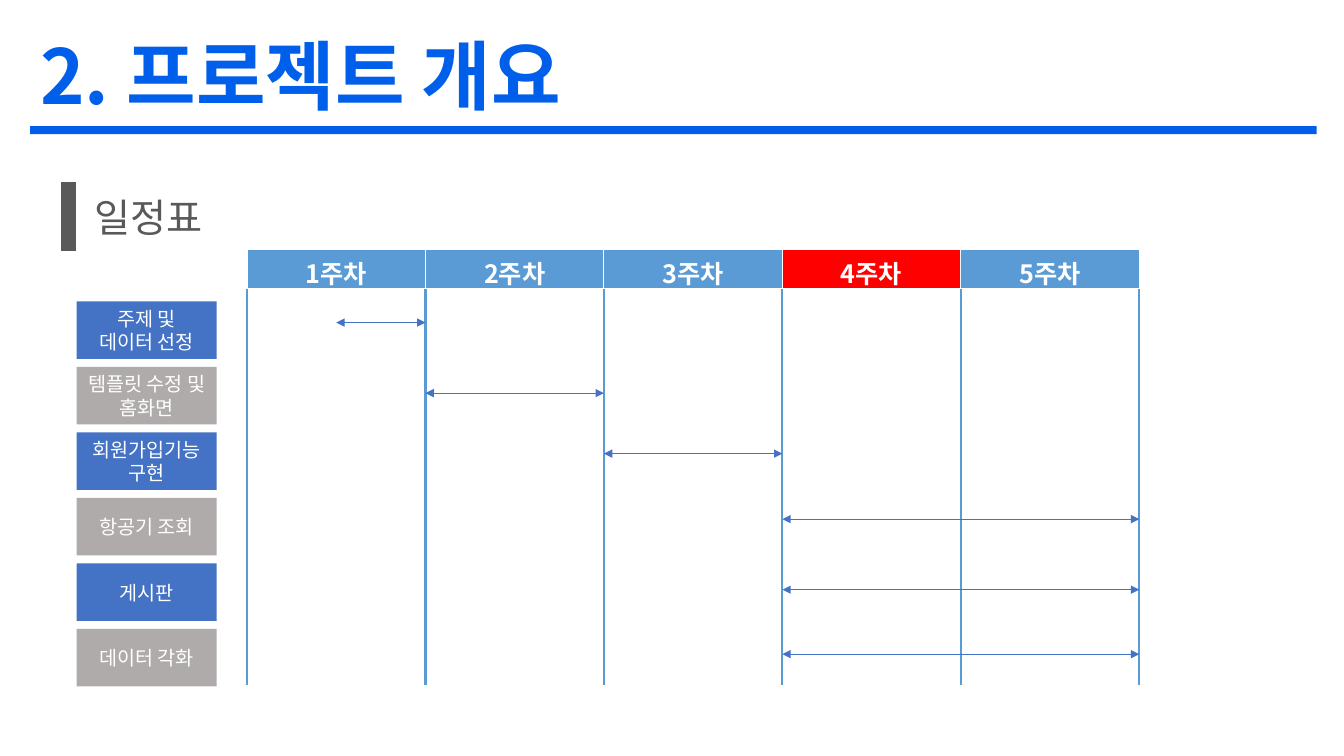
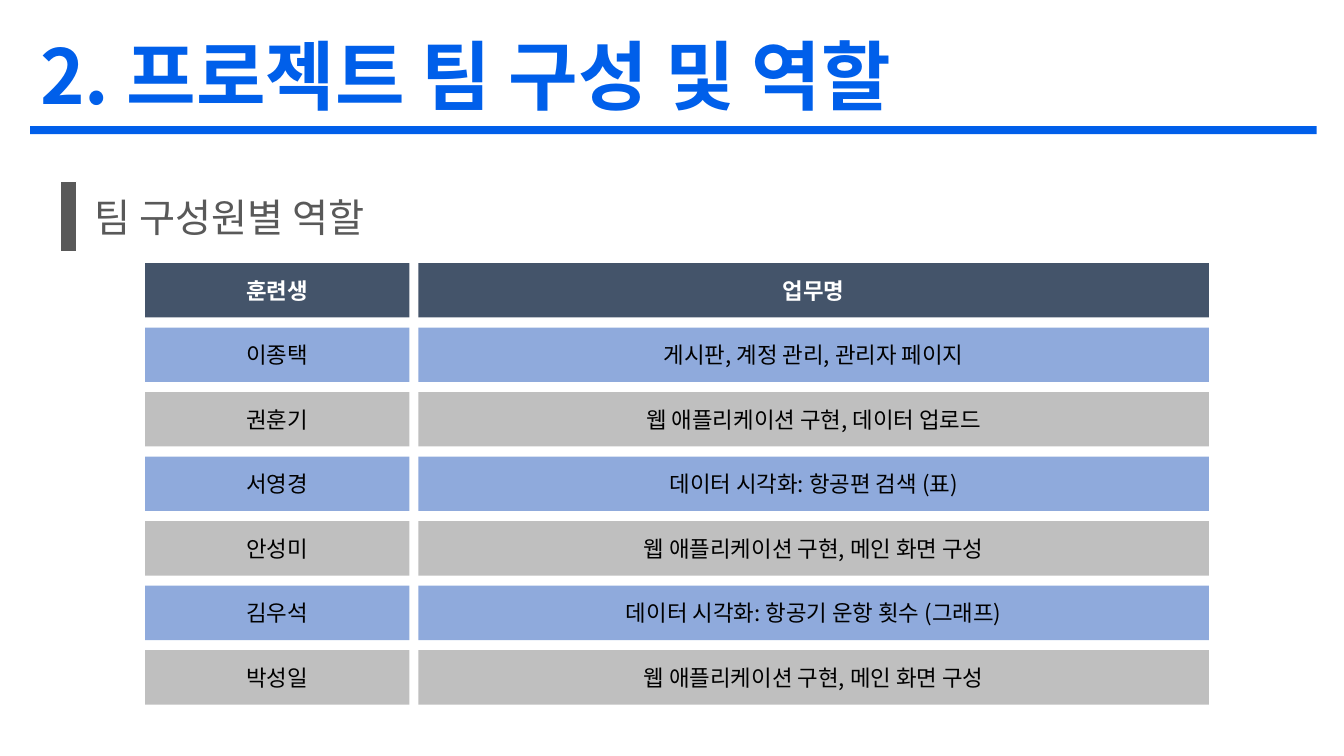
from lxml.etree import SubElement
from pptx import Presentation
from pptx.dml.color import RGBColor
from pptx.enum.shapes import MSO_CONNECTOR, MSO_SHAPE
from pptx.enum.text import MSO_ANCHOR, PP_ALIGN
from pptx.oxml.ns import qn
from pptx.util import Inches, Pt

FONT = "Noto Sans CJK KR"
TITLE_BLUE = "005FEA"
DARK_GRAY = "595959"
WHITE = "FFFFFF"
BLACK = "000000"
WEEK_BLUE = "5B9BD5"
CURRENT_WEEK_RED = "FF0000"
TASK_BLUE = "4472C4"
TASK_GRAY = "AFABAB"
HEADER_NAVY = "44546A"
MEMBER_COLORS = ("8FAADC", "BFBFBF")

WEEKS_LEFT, WEEK_WIDTH, WEEK_COUNT, CURRENT_WEEK = 2.45, 1.77, 5, 4
TASKS = [
    (["주제 및", "데이터 선정"], 0.5, 1, 3.2),
    (["템플릿 수정 및 홈화면"], 1, 2, 3.9),
    (["회원가입기능", "구현"], 2, 3, 4.5),
    (["항공기 조회"], 3, 5, 5.15),
    (["게시판"], 3, 5, 5.85),
    (["데이터 각화"], 3, 5, 6.49),
]
MEMBERS = [
    ("이종택", "게시판, 계정 관리, 관리자 페이지"),
    ("권훈기", "웹 애플리케이션 구현, 데이터 업로드"),
    ("서영경", "데이터 시각화: 항공편 검색 (표)"),
    ("안성미", "웹 애플리케이션 구현, 메인 화면 구성"),
    ("김우석", "데이터 시각화: 항공기 운항 횟수 (그래프)"),
    ("박성일", "웹 애플리케이션 구현, 메인 화면 구성"),
]


def rgb(color):
    return RGBColor.from_string(color)


def write(frame, lines, size, color, bold=False, align=PP_ALIGN.CENTER):
    frame.word_wrap = True
    for index, line in enumerate(lines):
        paragraph = frame.add_paragraph() if index else frame.paragraphs[0]
        paragraph.text = line
        paragraph.alignment = align
        font = paragraph.font
        font.name, font.size, font.bold = FONT, Pt(size), bold
        font.color.rgb = rgb(color)
        defaults = paragraph._p.pPr.find(qn("a:defRPr"))
        SubElement(defaults, qn("a:ea"), typeface=FONT)


def add_label(slide, box, text, size, color, bold=False):
    label = slide.shapes.add_textbox(*map(Inches, box))
    write(label.text_frame, [text], size, color, bold, PP_ALIGN.LEFT)


def add_block(slide, box, fill, lines=(), size=14, color=WHITE, bold=False):
    block = slide.shapes.add_shape(MSO_SHAPE.RECTANGLE, *map(Inches, box))
    block.shadow.inherit = False
    block.fill.solid()
    block.fill.fore_color.rgb = rgb(fill)
    block.line.fill.background()
    block.text_frame.vertical_anchor = MSO_ANCHOR.MIDDLE
    write(block.text_frame, lines, size, color, bold)
    return block


def add_line(slide, start, end, color, width, arrows=False):
    line = slide.shapes.add_connector(
        MSO_CONNECTOR.STRAIGHT, *map(Inches, (*start, *end)))
    line.line.color.rgb = rgb(color)
    line.line.width = Pt(width)
    properties = line._element.spPr
    if arrows:
        outline = properties.find(qn("a:ln"))
        for tip in ("a:headEnd", "a:tailEnd"):
            SubElement(outline, qn(tip), type="triangle")
    SubElement(properties, qn("a:effectLst"))


def add_cell_borders(cell):
    properties = cell._tc.get_or_add_tcPr()
    for side, width in (("L", 1), ("R", 1), ("T", 1), ("B", 3)):
        border = SubElement(properties, qn(f"a:ln{side}"), w=str(Pt(width)))
        fill = SubElement(border, qn("a:solidFill"))
        SubElement(fill, qn("a:srgbClr"), val=WHITE)


def add_section_slide(deck, title, subtitle):
    slide = deck.slides.add_slide(deck.slide_layouts[6])
    add_label(slide, (0.3, 0.24, 10.18, 1.01), title, 54, TITLE_BLUE, True)
    add_block(slide, (0.3, 1.25, 12.76, 0.08), TITLE_BLUE)
    marker = add_block(slide, (0.6, 1.8, 0.16, 0.7), DARK_GRAY)
    marker.line.color.rgb = rgb(WHITE)
    marker.line.width = Pt(1)
    add_label(slide, (0.84, 1.87, 5.96, 0.57), subtitle, 28, DARK_GRAY)
    return slide


def add_week_header(slide):
    box = (WEEKS_LEFT, 2.47, WEEK_WIDTH * WEEK_COUNT, 0.41)
    weeks = slide.shapes.add_table(1, WEEK_COUNT, *map(Inches, box)).table
    weeks.first_row = weeks.horz_banding = False
    for number, cell in enumerate(weeks.iter_cells(), 1):
        add_cell_borders(cell)
        cell.fill.solid()
        fill = CURRENT_WEEK_RED if number == CURRENT_WEEK else WEEK_BLUE
        cell.fill.fore_color.rgb = rgb(fill)
        write(cell.text_frame, [f"{number}주차"], 18, WHITE, True)


def week_x(week):
    return WEEKS_LEFT + week * WEEK_WIDTH


def add_schedule(slide):
    add_week_header(slide)
    for week in range(WEEK_COUNT + 1):
        x = week_x(week)
        add_line(slide, (x, 2.87), (x, 6.8), WEEK_BLUE, 1.5)
    for row, (lines, start, end, y) in enumerate(TASKS):
        fill = TASK_GRAY if row % 2 else TASK_BLUE
        add_block(slide, (0.76, 2.99 + row * 0.65, 1.39, 0.57), fill, lines)
        add_line(slide, (week_x(start), y), (week_x(end), y),
                 TASK_BLUE, 0.5, arrows=True)


def add_team_row(slide, row, entries, fill, color, bold=False):
    top = 2.61 + row * 0.64
    for entry, left, width in zip(entries, (1.44, 4.15), (2.62, 7.84)):
        add_block(slide, (left, top, width, 0.54), fill,
                  [entry], 16, color, bold)


def add_team(slide):
    add_team_row(slide, 0, ("훈련생", "업무명"), HEADER_NAVY, WHITE, True)
    for row, member in enumerate(MEMBERS, 1):
        add_team_row(slide, row, member, MEMBER_COLORS[(row - 1) % 2], BLACK)


def main():
    deck = Presentation()
    deck.slide_width, deck.slide_height = Inches(13.33), Inches(7.5)
    add_schedule(add_section_slide(deck, "2. 프로젝트 개요", "일정표"))
    add_team(add_section_slide(
        deck, "2. 프로젝트 팀 구성 및 역할", "팀 구성원별 역할"))
    deck.save("out.pptx")


if __name__ == "__main__":
    main()
